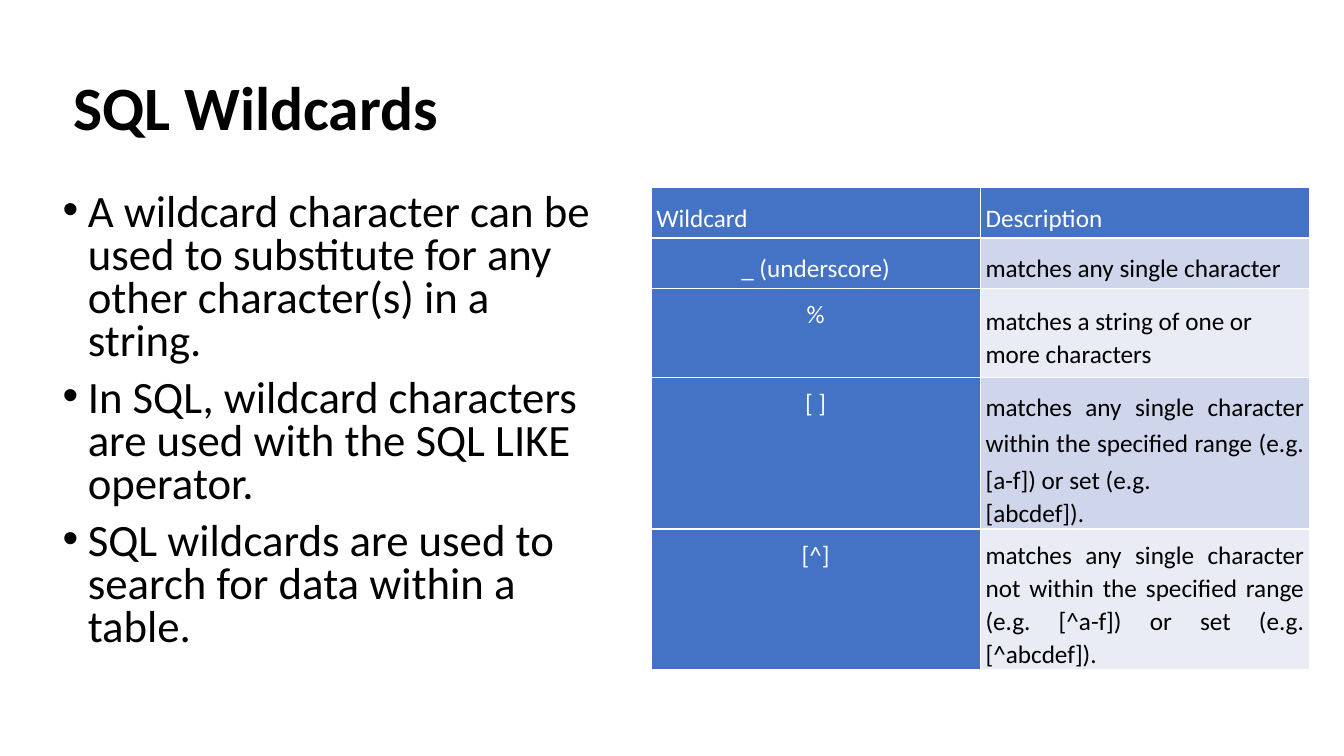
from pptx import Presentation
from pptx.dml.color import RGBColor
from pptx.enum.text import MSO_ANCHOR, MSO_AUTO_SIZE, PP_ALIGN
from pptx.oxml.ns import qn
from pptx.util import Pt
from lxml.etree import SubElement

TITLE = "SQL Wildcards"
BULLETS = [
    "A wildcard character can be used to substitute for any other character(s) in a string.",
    "In SQL, wildcard characters are used with the SQL LIKE operator.",
    "SQL wildcards are used to search for data within a table.",
]
LEFT, CENTER, JUSTIFY = PP_ALIGN.LEFT, PP_ALIGN.CENTER, PP_ALIGN.JUSTIFY
ROWS = [
    (36, "Wildcard", [("Description", LEFT, 1.07)]),
    (36, "_ (underscore)", [("matches any single character", LEFT, 1.07)]),
    (63.5, "%", [("matches a string of one or more characters", LEFT, 1.07)]),
    (97, "[ ]", [
        ("matches any single character within the specified range (e.g. [a-f]) or set (e.g.",
         JUSTIFY, 1.19),
        ("[abcdef]).", LEFT, 1.07),
    ]),
    (91, "[^]", [
        ("matches any single character not within the specified range "
         "(e.g. [^a-f]) or set (e.g. [^abcdef]).", JUSTIFY, 1.07),
    ]),
]
FONT = "Calibri"
BLACK = RGBColor(0x00, 0x00, 0x00)
WHITE = RGBColor(0xFF, 0xFF, 0xFF)
BLUE = RGBColor(0x44, 0x72, 0xC4)
BANDS = [RGBColor(0xE9, 0xEB, 0xF5), RGBColor(0xCF, 0xD5, 0xEA)]


def place(shape, left, top, width, height):
    shape.left, shape.top = Pt(left), Pt(top)
    shape.width, shape.height = Pt(width), Pt(height)


def style(para, size, color, align, spacing, before=0, bold=False):
    para.alignment = align
    para.line_spacing = spacing
    para.space_before = Pt(before)
    for span in para.runs:
        span.font.name = FONT
        span.font.size = Pt(size)
        span.font.bold = bold
        span.font.color.rgb = color


def add_borders(cell):
    properties = cell._tc.get_or_add_tcPr()
    for position, side in enumerate(("a:lnL", "a:lnR", "a:lnT", "a:lnB")):
        line = SubElement(properties, qn(side), w=str(Pt(1)))
        fill = SubElement(line, qn("a:solidFill"))
        SubElement(fill, qn("a:srgbClr"), val=str(WHITE))
        properties.insert(position, line)


def fill_cell(cell, lines, fill, color, anchor):
    cell.fill.solid()
    cell.fill.fore_color.rgb = fill
    cell.vertical_anchor = anchor
    cell.margin_left = cell.margin_right = Pt(3.8)
    cell.margin_top, cell.margin_bottom = Pt(6.5), Pt(0)
    cell.text_frame.text = "\n".join(text for text, _, _ in lines)
    for para, (_, align, spacing) in zip(cell.text_frame.paragraphs, lines):
        style(para, 18, color, align, spacing)
    add_borders(cell)


def add_title(page):
    title = page.shapes.title
    place(title, 45, 27, 828, 104.4)
    title.text_frame.text = TITLE
    title.text_frame.vertical_anchor = MSO_ANCHOR.MIDDLE
    title.text_frame.auto_size = MSO_AUTO_SIZE.NONE
    style(title.text_frame.paragraphs[0], 44, BLACK, LEFT, 0.9, bold=True)


def add_bullets(page):
    body = page.placeholders[1]
    place(body, 37.5, 134, 393, 343)
    body.text_frame.text = "\n".join(BULLETS)
    body.text_frame.auto_size = MSO_AUTO_SIZE.NONE
    for para in body.text_frame.paragraphs:
        style(para, 32, BLACK, LEFT, 0.8, before=10)
        properties = para._p.get_or_add_pPr()
        properties.set("marL", str(Pt(18)))
        properties.set("indent", str(Pt(-18)))
        SubElement(properties, qn("a:buFont"), typeface="Arial")
        SubElement(properties, qn("a:buChar"), char="•")


def add_wildcard_table(page):
    total = sum(height for height, _, _ in ROWS)
    table = page.shapes.add_table(len(ROWS), 2, Pt(465), Pt(134), Pt(470.4), Pt(total)).table
    for index, (height, wildcard, description) in enumerate(ROWS):
        table.rows[index].height = Pt(height)
        header = index == 0
        anchor = MSO_ANCHOR.MIDDLE if index < 2 else MSO_ANCHOR.TOP
        align = LEFT if header else CENTER
        fill_cell(table.cell(index, 0), [(wildcard, align, 1.07)], BLUE, WHITE, anchor)
        fill_cell(table.cell(index, 1), description,
                  BLUE if header else BANDS[index % 2],
                  WHITE if header else BLACK, MSO_ANCHOR.MIDDLE)


def main():
    deck = Presentation()
    deck.slide_width, deck.slide_height = Pt(960), Pt(540)
    page = deck.slides.add_slide(deck.slide_layouts[1])
    add_title(page)
    add_bullets(page)
    add_wildcard_table(page)
    deck.save("out.pptx")


if __name__ == "__main__":
    main()
